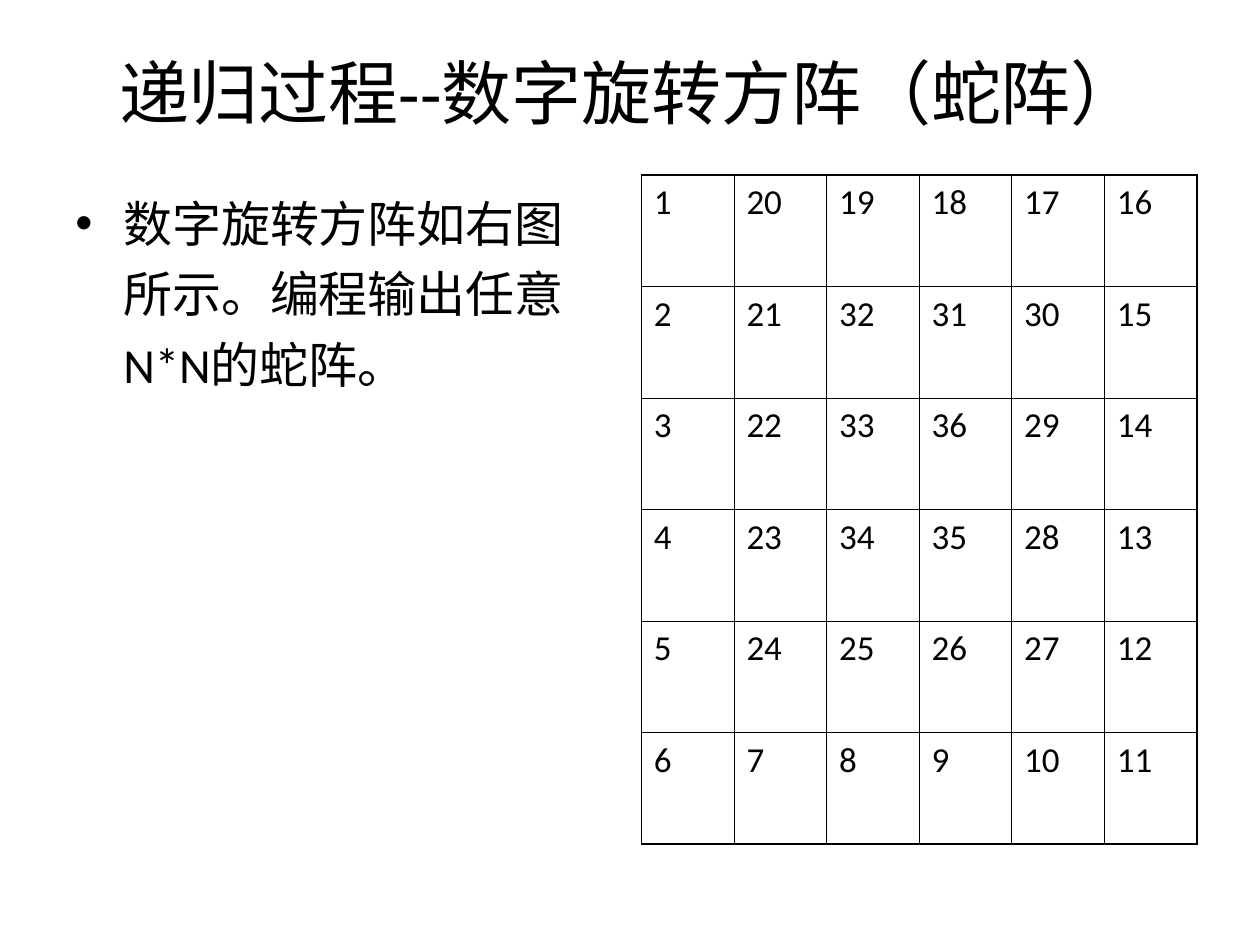
import pptx
import pptx.util
import pptx.dml.color
import pptx.enum.text
import pptx.oxml
import pptx.oxml.ns
import lxml.etree
from dataclasses import dataclass
from pptx.util import Inches


@dataclass(frozen=True)
class Theme:
    font: str = "Calibri"
    ink: str = "000000"
    title_size: int = 40
    body_size: int = 28
    cell_size: int = 20
    outer_line: float = 1.08
    inner_line: float = 0.45


theme = Theme()


def add_text(paragraph, text, size):
    run = paragraph.add_run()
    run.text = text
    run.font.name = theme.font
    run.font.size = pptx.util.Pt(size)
    run.font.color.rgb = pptx.dml.color.RGBColor.from_string(theme.ink)


def add_border(cell, side, width):
    properties = cell._tc.get_or_add_tcPr()
    line = lxml.etree.SubElement(properties, pptx.oxml.ns.qn(f"a:ln{side}"),
                                 w=str(pptx.util.Pt(width)))
    fill = lxml.etree.SubElement(line, pptx.oxml.ns.qn("a:solidFill"))
    lxml.etree.SubElement(fill, pptx.oxml.ns.qn("a:srgbClr"), val=theme.ink)


deck = pptx.Presentation()
deck.slide_width, deck.slide_height = Inches(10), Inches(7.5)
slide = deck.slides.add_slide(deck.slide_layouts[5])

# Title
title = slide.shapes.title
title.left, title.top = Inches(0.5), Inches(0.3)
title.width, title.height = Inches(9), Inches(0.85)
title.text_frame.auto_size = pptx.enum.text.MSO_AUTO_SIZE.NONE
title.text_frame.vertical_anchor = pptx.enum.text.MSO_ANCHOR.MIDDLE
heading = title.text_frame.paragraphs[0]
heading.alignment = pptx.enum.text.PP_ALIGN.CENTER
add_text(heading, "递归过程--数字旋转方阵（蛇阵）", theme.title_size)

# Task description
task_box = slide.shapes.add_textbox(Inches(0.5), Inches(1.39), Inches(4.41), Inches(5.31))
task_box.text_frame.word_wrap = True
task = task_box.text_frame.paragraphs[0]
task.line_spacing = 1.2
task.space_before = pptx.util.Pt(7)
add_text(task, "数字旋转方阵如右图所示。编程输出任意N*N的蛇阵。", theme.body_size)
bullet = task._p.get_or_add_pPr()
bullet.set("marL", str(Inches(0.38)))
bullet.set("indent", str(-Inches(0.38)))
lxml.etree.SubElement(bullet, pptx.oxml.ns.qn("a:buFont"), typeface="Arial")
lxml.etree.SubElement(bullet, pptx.oxml.ns.qn("a:buChar"), char="•")

# Spiral numbers: down, right, up, left, turning at each edge or filled cell
N = 6
spiral = {}
row, column, down, right = 0, 0, 1, 0
for number in range(1, N * N + 1):
    spiral[row, column] = number
    ahead = (row + down, column + right)
    if ahead in spiral or not (0 <= ahead[0] < N and 0 <= ahead[1] < N):
        down, right = -right, down
    row, column = row + down, column + right

# Spiral table
matrix = slide.shapes.add_table(N, N, Inches(5.09), Inches(1.39),
                                Inches(4.41), Inches(5.31)).table
matrix.first_row = matrix.horz_banding = False
for (row, column), number in spiral.items():
    cell = matrix.cell(row, column)
    cell.margin_left = cell.margin_right = Inches(0.1)
    cell.margin_top = cell.margin_bottom = Inches(0.05)
    entry = cell.text_frame.paragraphs[0]
    entry.space_before = pptx.util.Pt(5)
    add_text(entry, str(number), theme.cell_size)
    on_edge = {"L": column == 0, "R": column == N - 1, "T": row == 0, "B": row == N - 1}
    for side, outer in on_edge.items():
        add_border(cell, side, theme.outer_line if outer else theme.inner_line)
    cell.fill.background()

deck.save("out.pptx")
